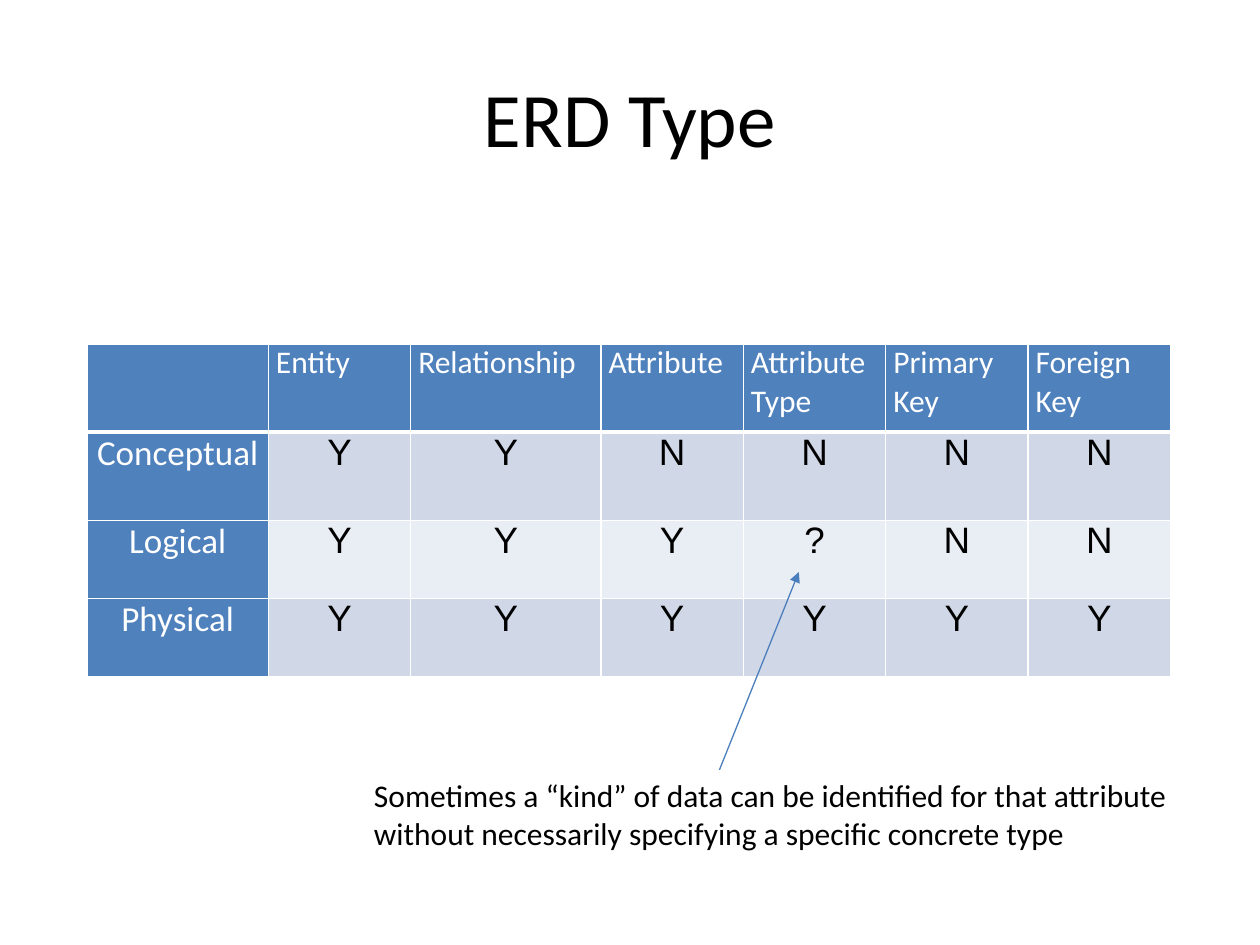
"""Build a slide comparing what each type of ERD contains."""
from lxml import etree
from pptx import Presentation
from pptx.dml.color import RGBColor
from pptx.enum.shapes import MSO_CONNECTOR
from pptx.enum.text import MSO_ANCHOR, PP_ALIGN
from pptx.oxml.ns import qn
from pptx.util import Inches, Pt

LEFT, CENTER = PP_ALIGN.LEFT, PP_ALIGN.CENTER
MIDDLE, TOP = MSO_ANCHOR.MIDDLE, MSO_ANCHOR.TOP
STRAIGHT = MSO_CONNECTOR.STRAIGHT

TITLE = "ERD Type"
HEADERS = ["", "Entity", "Relationship", "Attribute", "Attribute Type", "Primary Key", "Foreign Key"]
ROWS = [("Conceptual", "YYNNNN"), ("Logical", "YYY?NN"), ("Physical", "YYYYYY")]
NOTE = [
    "Sometimes a “kind” of data can be identified for that attribute",
    "without necessarily specifying a specific concrete type",
]
COLUMN_WIDTHS = [1.44, 1.13, 1.51, 1.13, 1.13, 1.13, 1.13]
ROW_HEIGHTS = [0.7, 0.7, 0.62, 0.62]
COLORS = {
    "text": "000000", "white": "FFFFFF", "header": "4F81BD",
    "band_dark": "D0D8E8", "band_light": "E9EDF4", "arrow": "4B7EBC",
}


def rgb(name):
    return RGBColor.from_string(COLORS[name])


def write(frame, lines, size, color="text", font="Calibri", align=LEFT):
    for index, line in enumerate(lines):
        para = frame.add_paragraph() if index else frame.paragraphs[0]
        para.alignment = align
        span = para.add_run()
        span.text = line
        span.font.size = Pt(size)
        span.font.name = font
        span.font.bold = False
        span.font.color.rgb = rgb(color)


def add_text(page, area, lines, size, align=LEFT, anchor=TOP, wrap=True):
    box = page.shapes.add_textbox(*map(Inches, area))
    box.text_frame.word_wrap = wrap
    box.text_frame.vertical_anchor = anchor
    write(box.text_frame, lines, size, align=align)


def set_borders(cell, bottom_width):
    properties = cell._tc.get_or_add_tcPr()
    widths = {"lnL": 1, "lnR": 1, "lnT": 1, "lnB": bottom_width}
    for index, (side, width) in enumerate(widths.items()):
        line = etree.Element(qn(f"a:{side}"), w=str(Pt(width)))
        fill = etree.SubElement(line, qn("a:solidFill"))
        etree.SubElement(fill, qn("a:srgbClr"), val=COLORS["white"])
        properties.insert(index, line)


def fill_cell(cell, text, fill, bottom_width=1, **style):
    cell.margin_left = cell.margin_right = Inches(0.06)
    cell.margin_top = cell.margin_bottom = 0
    cell.fill.solid()
    cell.fill.fore_color.rgb = rgb(fill)
    set_borders(cell, bottom_width)
    if text:
        write(cell.text_frame, [text], **style)


def add_matrix(page, left, top):
    width, height = sum(COLUMN_WIDTHS), sum(ROW_HEIGHTS)
    table = page.shapes.add_table(
        len(ROW_HEIGHTS), len(COLUMN_WIDTHS), *map(Inches, (left, top, width, height))
    ).table
    for column, size in zip(table.columns, COLUMN_WIDTHS):
        column.width = Inches(size)
    for row, size in zip(table.rows, ROW_HEIGHTS):
        row.height = Inches(size)
    for index, header in enumerate(HEADERS):
        fill_cell(table.cell(0, index), header, "header", 3, size=18, color="white")
    for row, (name, marks) in enumerate(ROWS, start=1):
        fill_cell(table.cell(row, 0), name, "header", size=20, color="white", align=CENTER)
        band = "band_dark" if row % 2 else "band_light"
        for column, mark in enumerate(marks, start=1):
            fill_cell(table.cell(row, column), mark, band, size=21, font="Arial", align=CENTER)


def add_arrow(page, start, end):
    arrow = page.shapes.add_connector(STRAIGHT, *map(Inches, start + end))
    arrow.line.color.rgb = rgb("arrow")
    arrow.line.width = Pt(0.75)
    etree.SubElement(arrow.line._get_or_add_ln(), qn("a:tailEnd"), type="triangle")
    etree.SubElement(arrow._element.spPr, qn("a:effectLst"))


def main():
    deck = Presentation()
    deck.slide_width, deck.slide_height = Inches(10), Inches(7.5)
    page = deck.slides.add_slide(deck.slide_layouts[6])
    add_text(page, (0.5, 0.3, 9, 1.25), [TITLE], 44, CENTER, MIDDLE)
    add_matrix(page, 0.69, 2.73)
    add_arrow(page, (5.71, 6.11), (6.34, 4.54))
    add_text(page, (2.87, 6.11, 6.63, 0.71), NOTE, 18, wrap=False)
    deck.save("out.pptx")


if __name__ == "__main__":
    main()
